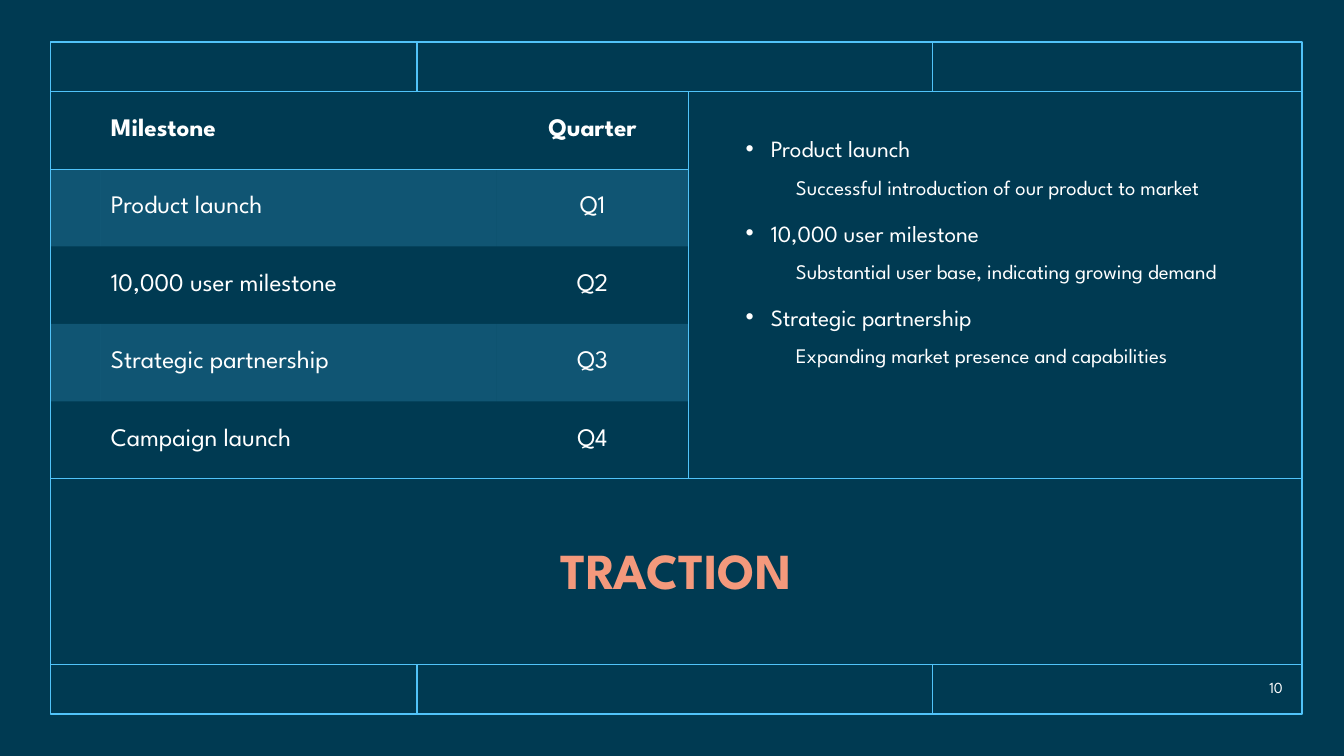
"""Build the traction slide: milestone table, highlights and a framed title."""
from lxml import etree
from pptx import Presentation
from pptx.dml.color import RGBColor
from pptx.enum import shapes, text
from pptx.oxml import ns
from pptx.util import Pt

NAVY = RGBColor(0x00, 0x3A, 0x52)
SKY = RGBColor(0x51, 0xC3, 0xF9)
CORAL = RGBColor(0xF4, 0x99, 0x7C)
WHITE = RGBColor(0xFF, 0xFF, 0xFF)
FONT = "League Spartan"

LEFT, TOP, RIGHT, BOTTOM = 36, 30, 930, 510
BAND_TOP, BAND_BOTTOM = 65.5, 474.5
SPLIT_X, SPLIT_Y = 492, 342
TICKS = (298, 666)

MILESTONES = [
    ("Milestone", "Quarter"),
    ("Product launch", "Q1"),
    ("10,000 user milestone", "Q2"),
    ("Strategic partnership", "Q3"),
    ("Campaign launch", "Q4"),
]
HIGHLIGHTS = [
    ("Product launch", "Successful introduction of our product to market"),
    ("10,000 user milestone", "Substantial user base, indicating growing demand"),
    ("Strategic partnership", "Expanding market presence and capabilities"),
]


def apply(target, values):
    """Set each named attribute on the target."""
    for name, value in values.items():
        setattr(target, name, value)


def add_child(parent, tag, **attributes):
    """Append a DrawingML element and return it."""
    return etree.SubElement(parent, ns.qn(tag), attributes)


def write(para, words, size, color=WHITE, bold=False, **layout):
    """Put one formatted span into a paragraph."""
    apply(para, layout)
    span = para.add_run()
    span.text = words
    apply(span.font, {"name": FONT, "size": Pt(size), "bold": bold})
    span.font.color.rgb = color


def add_box(page, left, top, width, height, anchor):
    """Add a wrapping text box and return its text frame."""
    box = page.shapes.add_textbox(Pt(left), Pt(top), Pt(width), Pt(height))
    apply(box.text_frame, {"word_wrap": True, "vertical_anchor": anchor})
    return box.text_frame


def add_rule(page, x1, y1, x2, y2):
    """Draw one thin grid line."""
    rule = page.shapes.add_connector(
        shapes.MSO_CONNECTOR.STRAIGHT, Pt(x1), Pt(y1), Pt(x2), Pt(y2))
    rule.line.color.rgb = SKY
    rule.line.width = Pt(1)
    add_child(rule._element.spPr, "a:effectLst")


def add_frame(page):
    """Draw the outer frame and its dividing lines."""
    frame = page.shapes.add_shape(
        shapes.MSO_SHAPE.RECTANGLE, Pt(LEFT), Pt(TOP), Pt(RIGHT - LEFT), Pt(BOTTOM - TOP))
    frame.shadow.inherit = False
    frame.fill.background()
    frame.line.color.rgb = SKY
    frame.line.width = Pt(1)
    for x in TICKS:
        add_rule(page, x, TOP, x, BAND_TOP)
        add_rule(page, x, BAND_BOTTOM, x, BOTTOM)
    for y in (BAND_TOP, SPLIT_Y, BAND_BOTTOM):
        add_rule(page, LEFT, y, RIGHT, y)
    add_rule(page, SPLIT_X, BAND_TOP, SPLIT_X, SPLIT_Y)


def paint_cell(cell, lined, shaded):
    """Set the borders and the fill of a table cell."""
    properties = cell._tc.get_or_add_tcPr()
    for side in "LRTB":
        border = add_child(properties, f"a:ln{side}", w=str(Pt(1)))
        if side in lined:
            add_child(add_child(border, "a:solidFill"), "a:srgbClr", val=str(SKY))
        else:
            add_child(border, "a:noFill")
    if shaded:
        tint = add_child(add_child(properties, "a:solidFill"), "a:srgbClr", val=str(SKY))
        add_child(tint, "a:alpha", val="20000")
    else:
        add_child(properties, "a:noFill")


def add_milestones(page):
    """Add the table of milestones, with shaded alternate rows."""
    widths = (36, 282.5, 137.5)
    height = (SPLIT_Y - BAND_TOP) / len(MILESTONES)
    table = page.shapes.add_table(
        len(MILESTONES), len(widths), Pt(LEFT), Pt(BAND_TOP),
        Pt(sum(widths)), Pt(SPLIT_Y - BAND_TOP)).table
    apply(table, {"first_row": False, "horz_banding": False})
    for column, width in zip(table.columns, widths):
        column.width = Pt(width)
    for index, (milestone, quarter) in enumerate(MILESTONES):
        table.rows[index].height = Pt(height)
        cells = table.rows[index].cells
        lined = {0: "TB", 1: "T"}.get(index, "")
        for cell in cells:
            cell.vertical_anchor = text.MSO_ANCHOR.MIDDLE
            paint_cell(cell, lined, index % 2 == 1)
        header = index == 0
        write(cells[1].text_frame.paragraphs[0], milestone, 18, bold=header,
              space_before=Pt(2))
        write(cells[2].text_frame.paragraphs[0], quarter, 18, bold=header,
              alignment=text.PP_ALIGN.CENTER)


def set_indent(para, margin, indent, bullet=None):
    """Set the indents of a paragraph and its bullet, if any."""
    properties = para._p.get_or_add_pPr()
    properties.set("marL", str(Pt(margin)))
    properties.set("indent", str(Pt(indent)))
    if bullet:
        add_child(add_child(properties, "a:buClr"), "a:srgbClr", val=str(WHITE))
        add_child(properties, "a:buFont", typeface="Arial")
        add_child(properties, "a:buChar", char=bullet)


def add_highlights(page):
    """Add the bulleted highlights with their explanations."""
    frame = add_box(page, 525.5, 96.5, 366, 222, text.MSO_ANCHOR.TOP)
    para = frame.paragraphs[0]
    for index, (heading, detail) in enumerate(HIGHLIGHTS):
        if index:
            para = frame.add_paragraph()
        write(para, heading, 16.6, line_spacing=0.8, space_before=Pt(18))
        set_indent(para, 18, -18, "•")
        para = frame.add_paragraph()
        write(para, detail, 14.8, line_spacing=0.8, space_before=Pt(12), level=1)
        set_indent(para, 36, 0)


def main():
    """Assemble and save the deck."""
    deck = Presentation()
    apply(deck, {"slide_width": Pt(960), "slide_height": Pt(540)})
    page = deck.slides.add_slide(deck.slide_layouts[6])
    page.background.fill.solid()
    page.background.fill.fore_color.rgb = NAVY
    add_frame(page)
    title = add_box(page, LEFT, 343.5, RIGHT - LEFT, 131.5, text.MSO_ANCHOR.MIDDLE)
    write(title.paragraphs[0], "TRACTION", 36, CORAL, True,
          alignment=text.PP_ALIGN.CENTER, line_spacing=0.9)
    add_milestones(page)
    add_highlights(page)
    number = add_box(page, 857.5, 480, 66, 22, text.MSO_ANCHOR.MIDDLE)
    write(number.paragraphs[0], "10", 11, alignment=text.PP_ALIGN.RIGHT)
    deck.save("out.pptx")


if __name__ == "__main__":
    main()
